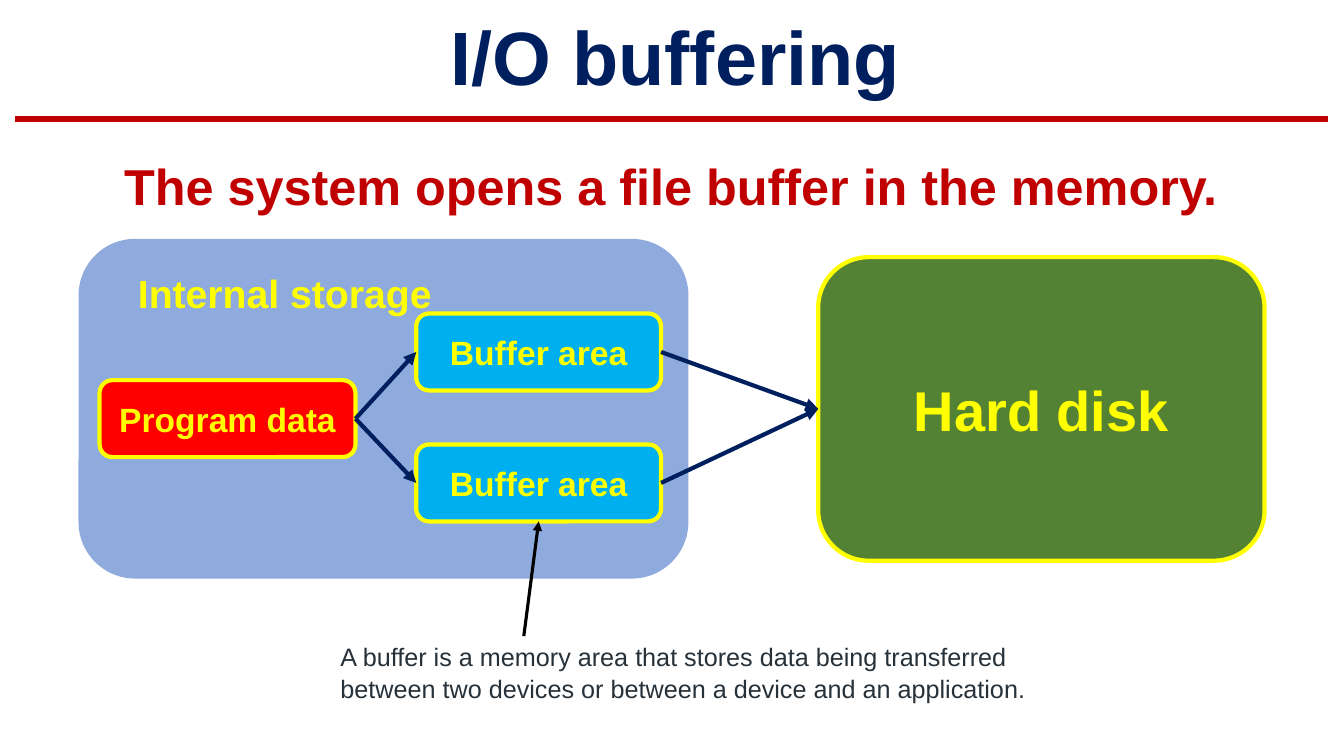
from lxml import etree
from pptx import Presentation
from pptx.dml.color import RGBColor
from pptx.enum.shapes import MSO_CONNECTOR, MSO_SHAPE
from pptx.enum.text import MSO_ANCHOR, MSO_AUTO_SIZE, PP_ALIGN
from pptx.oxml.ns import qn
from pptx.util import Cm, Pt

ROUNDED = MSO_SHAPE.ROUNDED_RECTANGLE
STRAIGHT = MSO_CONNECTOR.STRAIGHT
TOP, MIDDLE = MSO_ANCHOR.TOP, MSO_ANCHOR.MIDDLE
LEFT, CENTER = PP_ALIGN.LEFT, PP_ALIGN.CENTER
NO_AUTOFIT = MSO_AUTO_SIZE.NONE
LEFT_SIDE, BOTTOM_SIDE, RIGHT_SIDE = 1, 2, 3

COLORS = {
    "navy": "001F5F", "crimson": "C00000", "panel": "8FAADC", "sky": "00AFEF",
    "yellow": "FFFF00", "red": "FF0000", "green": "538235", "ink": "273139",
    "black": "000000",
}


class SlideBuilder:
    """Holds the font, the colours and the slide being built."""

    def __init__(self, slide, font="Arial"):
        self.slide = slide
        self.font = font

    def color(self, name):
        return RGBColor.from_string(COLORS[name])

    def set_text(self, shape, text, size, color, bold=True, align=LEFT,
                 anchor=TOP, inset=(0, 0), spacing=1.0):
        frame = shape.text_frame
        frame.auto_size = NO_AUTOFIT
        frame.word_wrap = True
        frame.vertical_anchor = anchor
        frame.margin_left, frame.margin_top = Cm(inset[0]), Cm(inset[1])
        frame.margin_right = frame.margin_bottom = 0
        para = frame.paragraphs[0]
        para.alignment = align
        para.line_spacing = spacing
        span = para.add_run()
        span.text = text
        span.font.name = self.font
        span.font.size = Pt(size)
        span.font.bold = bold
        span.font.color.rgb = self.color(color)

    def title(self, text, left, top, width, height):
        shape = self.slide.shapes.title
        shape.left, shape.top = Cm(left), Cm(top)
        shape.width, shape.height = Cm(width), Cm(height)
        self.set_text(shape, text, 54, "navy", align=CENTER)

    def label(self, text, left, top, width, height, size, color, **style):
        box = self.slide.shapes.add_textbox(Cm(left), Cm(top), Cm(width), Cm(height))
        self.set_text(box, text, size, color, **style)

    def box(self, text, left, top, width, height, fill, size, outline="yellow", **style):
        shape = self.slide.shapes.add_shape(
            ROUNDED, Cm(left), Cm(top), Cm(width), Cm(height))
        shape.shadow.inherit = False
        shape.fill.solid()
        shape.fill.fore_color.rgb = self.color(fill)
        if outline:
            shape.line.color.rgb = self.color(outline)
            shape.line.width = Pt(3)
        else:
            shape.line.fill.background()
        self.set_text(shape, text, size, "yellow", **style)
        return shape

    def line(self, start, end, color, width):
        link = self.slide.shapes.add_connector(
            STRAIGHT, Cm(start[0]), Cm(start[1]), Cm(end[0]), Cm(end[1]))
        link.line.color.rgb = self.color(color)
        link.line.width = Pt(width)
        etree.SubElement(link._element.spPr, qn("a:effectLst"))
        return link

    def arrow(self, target, side, source=None, start=(0, 0), color="navy", width=3):
        link = self.line(start, start, color, width)
        if source is not None:
            link.begin_connect(source, RIGHT_SIDE)
        link.end_connect(target, side)
        outline = link.line._get_or_add_ln()
        etree.SubElement(outline, qn("a:tailEnd"), type="triangle")


def main():
    deck = Presentation()
    deck.slide_width, deck.slide_height = Cm(33.87), Cm(19.05)
    page = SlideBuilder(deck.slides.add_slide(deck.slide_layouts[5]))

    page.line((0.38, 3), (33.48, 3), "crimson", 4.5)
    page.title("I/O buffering", 10.5, 0.26, 13.05, 2.3)
    page.label("The system opens a file buffer in the memory.",
               3.13, 3.92, 28, 1.6, 36, "crimson")

    page.box("Internal storage", 1.98, 6.02, 15.37, 8.56, "panel", 28,
             outline=None, inset=(1.08, 0.35))
    centered = {"align": CENTER, "anchor": MIDDLE}
    program = page.box("Program data", 2.51, 9.58, 6.45, 1.94, "red", 24, **centered)
    disk = page.box("Hard disk", 20.62, 6.48, 11.25, 7.65, "green", 40, **centered)
    buffers = [page.box("Buffer area", 10.49, top, 6.17, 1.94, "sky", 24, **centered)
               for top in (7.9, 11.2)]

    for buffer in buffers:
        page.arrow(buffer, LEFT_SIDE, source=program)
        page.arrow(disk, LEFT_SIDE, source=buffer)
    page.arrow(buffers[-1], BOTTOM_SIDE, start=(13.2, 16.03), color="black", width=2.25)

    page.label("A buffer is a memory area that stores data being transferred "
               "between two devices or between a device and an application.",
               8.58, 16.1, 17.5, 1.6, 18, "ink", bold=False, spacing=1.07)

    deck.save("out.pptx")


if __name__ == "__main__":
    main()
